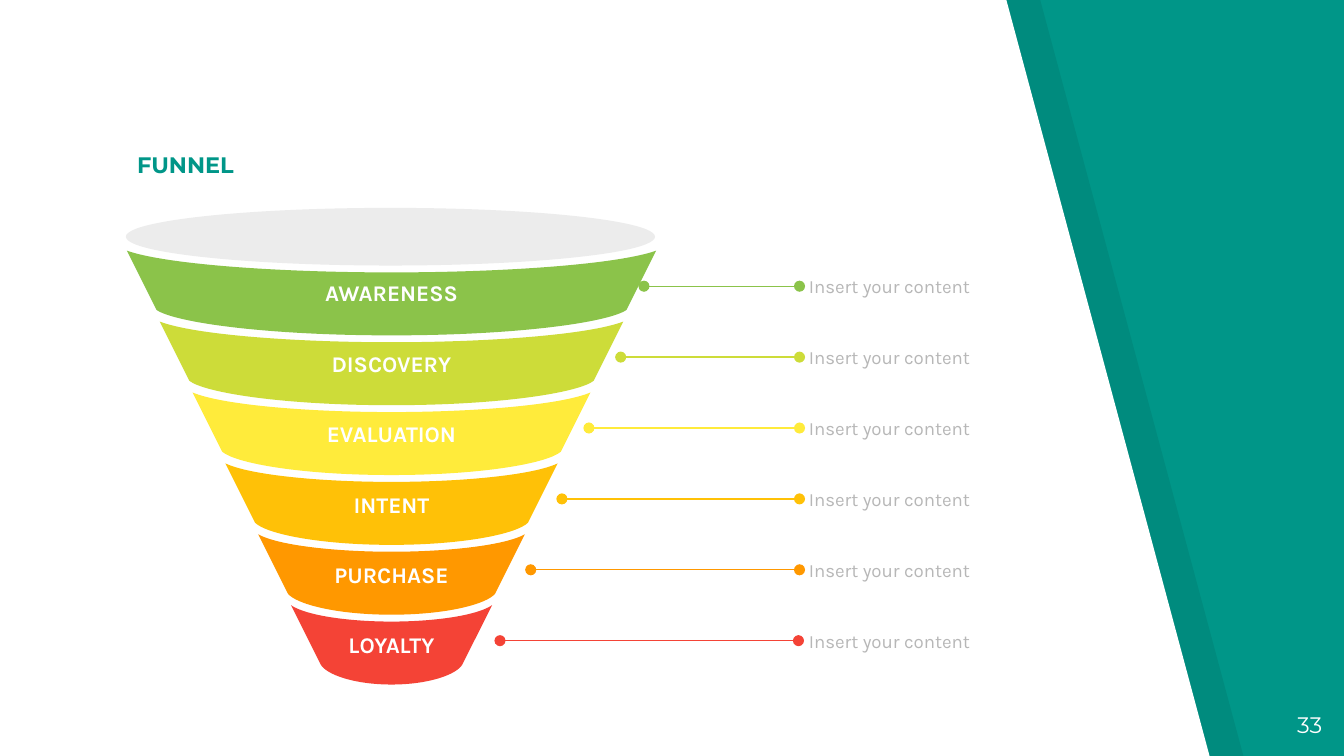
"""Build a marketing funnel slide with six labelled stages."""
import dataclasses
import typing

import lxml.etree
import pptx
import pptx.dml.color
import pptx.enum.shapes
import pptx.enum.text
import pptx.oxml.ns
import pptx.util

Cm = pptx.util.Cm
qn = pptx.oxml.ns.qn
Point = typing.Tuple[float, float]

COLORS = {
    "teal": "009688", "white": "FFFFFF", "black": "000000",
    "rim": "ECECEC", "caption": "B7B7B7",
    "green": "8BC34A", "lime": "CDDC39", "yellow": "FFEB3B",
    "amber": "FFC107", "orange": "FF9800", "red": "F44336",
}
SLIDE_WIDTH, SLIDE_HEIGHT = 25.4, 14.29
FUNNEL_CENTER = 7.4
FIRST_BAND_TOP = 4.74
FIRST_LEADER_Y = 5.41
STAGE_STEP = 1.34


@dataclasses.dataclass(frozen=True)
class Stage:
    """A funnel band, its color and where its leader line starts and ends."""
    label: str
    color: str
    leader_start: float
    leader_end: float = 15.11


STAGES = [
    Stage("AWARENESS", "green", 12.17),
    Stage("DISCOVERY", "lime", 11.73),
    Stage("EVALUATION", "yellow", 11.13),
    Stage("INTENT", "amber", 10.62),
    Stage("PURCHASE", "orange", 10.03),
    Stage("LOYALTY", "red", 9.45, 15.09),
]


def rgb(name: str) -> pptx.dml.color.RGBColor:
    """Return the named color."""
    return pptx.dml.color.RGBColor.from_string(COLORS[name])


def style_shape(shape, color: str) -> None:
    """Give a shape a flat fill with no line or shadow."""
    shape.shadow.inherit = False
    shape.fill.solid()
    shape.fill.fore_color.rgb = rgb(color)
    shape.line.fill.background()


def draw_outline(shapes, points: typing.List[Point], color: str, commands: str = ""):
    """Draw a closed outline in centimetres, with C for a cubic and L for a line."""
    corners = [(Cm(x), Cm(y)) for x, y in points]
    builder = shapes.build_freeform(*corners[0])
    builder.add_line_segments(corners[1:], close=True)
    shape = builder.convert_to_shape()
    style_shape(shape, color)
    segments = iter(list(shape.element.iter(qn("a:lnTo"))))
    for command in commands:
        segment = next(segments)
        if command == "C":
            curve = segment.makeelement(qn("a:cubicBezTo"))
            segment.addprevious(curve)
            for part in (segment, next(segments), next(segments)):
                curve.append(part[0])
                part.getparent().remove(part)
    return shape


def write_text(shape, text: str, font: str, size: float, color: str, *,
               bold: bool = False, align: str = "LEFT", anchor: str = "MIDDLE",
               margins: Point = (0, 0)) -> None:
    """Write one formatted paragraph into a shape."""
    frame = shape.text_frame
    frame.word_wrap = True
    frame.auto_size = pptx.enum.text.MSO_AUTO_SIZE.NONE
    frame.vertical_anchor = pptx.enum.text.MSO_ANCHOR[anchor]
    frame.margin_left = frame.margin_right = Cm(margins[0])
    frame.margin_top = frame.margin_bottom = Cm(margins[1])
    paragraph = frame.paragraphs[0]
    paragraph.text = text
    paragraph.alignment = pptx.enum.text.PP_ALIGN[align]
    paragraph.font.name = font
    paragraph.font.size = pptx.util.Pt(size)
    paragraph.font.bold = bold
    paragraph.font.color.rgb = rgb(color)


def band_points(index: int) -> typing.List[Point]:
    """Return the corners and curve controls of one symmetric funnel band."""
    top = FIRST_BAND_TOP + index * STAGE_STEP
    half_top = 5 - 0.62 * index
    half_bottom = half_top - 0.56
    corner, sag, depth = 1.12, 0.41 - 0.02 * index, 1.6 - 0.02 * index
    right = [
        (0, sag), (0.42 * half_top, sag), (0.85 * half_top, 0.64 * sag), (half_top, 0),
        (half_bottom, corner), (0.92 * half_bottom, (corner + depth) / 2),
        (0.53 * half_bottom, depth), (0, depth),
    ]
    left = [(-x, y) for x, y in reversed(right[:-1])]
    return [(FUNNEL_CENTER + x, top + y) for x, y in right + left]


def draw_backdrop(slide) -> None:
    """Place the slanted white panel and its shade behind the title."""
    for offset, color in ((0.64, "black"), (0, "white")):
        points = [(offset, 0), (offset, SLIDE_HEIGHT),
                  (22.86 + offset, SLIDE_HEIGHT), (19.02 + offset, 0)]
        panel = draw_outline(slide.shapes, points, color)
        slide.shapes.title.element.addprevious(panel.element)
        if color == "black":
            tint = next(panel.element.iter(qn("a:srgbClr")))
            lxml.etree.SubElement(tint, qn("a:alpha"), val="7000")


def draw_funnel(slide) -> None:
    """Draw the grouped bands and the rim."""
    group = slide.shapes.add_group_shape()
    for index, stage in enumerate(STAGES):
        band = draw_outline(group.shapes, band_points(index), stage.color, "CLCCLC")
        write_text(band, stage.label, "Karla", 12, "white", bold=True,
                   align="CENTER", margins=(0.18, 0.1))
    rim = group.shapes.add_shape(pptx.enum.shapes.MSO_SHAPE.OVAL,
                                 Cm(2.38), Cm(3.93), Cm(10), Cm(1.09))
    style_shape(rim, "rim")


def draw_leader(slide, stage: Stage, y: float) -> None:
    """Draw a round-ended leader line and its caption."""
    leader = slide.shapes.add_connector(
        pptx.enum.shapes.MSO_CONNECTOR.STRAIGHT,
        Cm(stage.leader_start), Cm(y), Cm(stage.leader_end), Cm(y))
    leader.line.color.rgb = rgb(stage.color)
    leader.line.width = pptx.util.Pt(0.75)
    properties = leader.element.spPr
    line = properties.find(qn("a:ln"))
    for end in ("a:headEnd", "a:tailEnd"):
        lxml.etree.SubElement(line, qn(end), type="oval")
    lxml.etree.SubElement(properties, qn("a:effectLst"))
    height = 0.96
    caption = slide.shapes.add_textbox(Cm(15.29), Cm(y - height / 2), Cm(7.75), Cm(height))
    write_text(caption, "Insert your content", "Karla", 10, "caption")


def main() -> None:
    """Assemble and save the slide."""
    presentation = pptx.Presentation()
    presentation.slide_width = Cm(SLIDE_WIDTH)
    presentation.slide_height = Cm(SLIDE_HEIGHT)
    slide = presentation.slides.add_slide(presentation.slide_layouts.get_by_name("Title Only"))
    slide.background.fill.solid()
    slide.background.fill.fore_color.rgb = rgb("teal")

    draw_backdrop(slide)
    title = slide.shapes.title
    title.left, title.top, title.width, title.height = Cm(2.34), Cm(2.48), Cm(13.34), Cm(1.14)
    write_text(title, "FUNNEL", "Montserrat", 12, "teal", bold=True,
               anchor="BOTTOM", margins=(0.25, 0.25))
    number = slide.shapes.add_textbox(Cm(23.72), Cm(13.19), Cm(1.52), Cm(1.09))
    write_text(number, "33", "Montserrat", 12, "white",
               align="RIGHT", anchor="TOP", margins=(0.25, 0.25))

    draw_funnel(slide)
    for index, stage in enumerate(STAGES):
        draw_leader(slide, stage, FIRST_LEADER_Y + index * STAGE_STEP)
    presentation.save("out.pptx")


if __name__ == "__main__":
    main()
